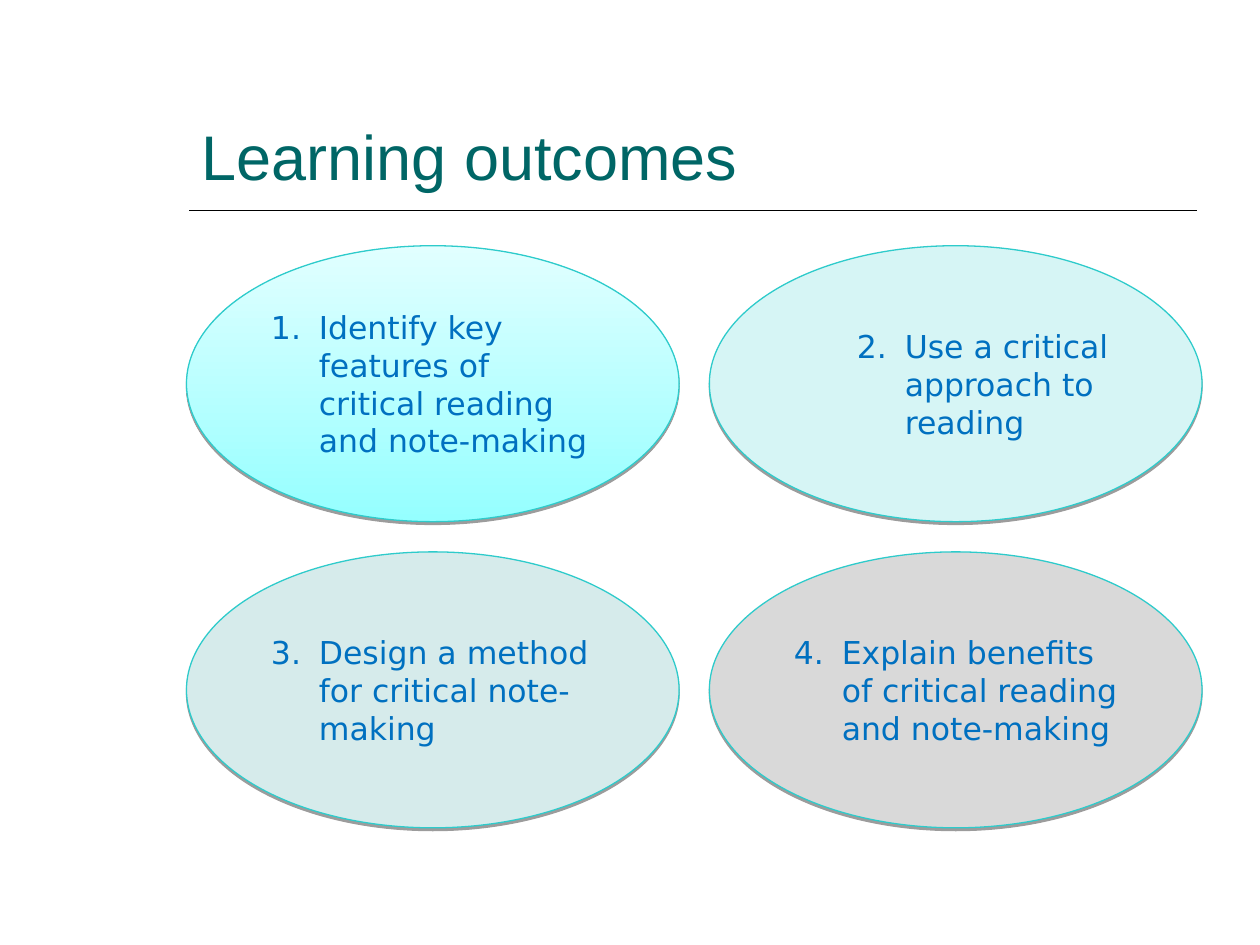
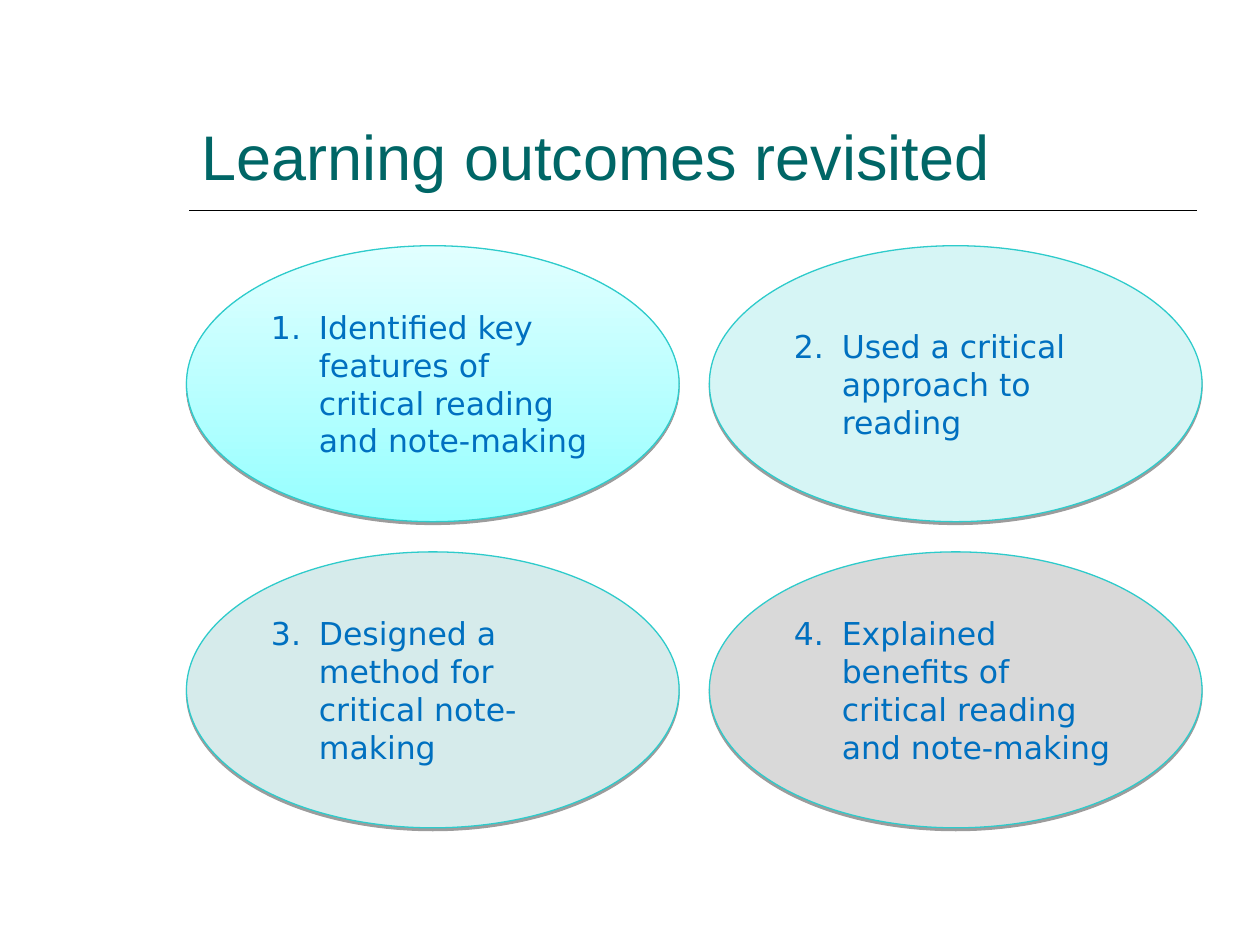
from lxml.etree import SubElement
from pptx import Presentation
from pptx.dml.color import RGBColor
from pptx.enum.shapes import MSO_CONNECTOR as Connector, MSO_SHAPE as Shape
from pptx.enum.text import MSO_ANCHOR as Anchor, MSO_AUTO_SIZE as AutoSize, PP_ALIGN as Align
from pptx.oxml.ns import qn
from pptx.util import Inches, Pt

# Shared layout: a two by two grid of ovals
OVAL_WIDTH, OVAL_HEIGHT = 3.91, 2.19
GRID_LEFT, GRID_TOP = 1.48, 1.95
COLUMN_STEP, ROW_STEP = 4.15, 2.43
NUMBER_INDENT = 0.38
OVAL_FILLS = [("95FFFF", "E1FFFF"), ("D6F5F5",), ("D6EBEB",), ("D9D9D9",)]

# Title, outcomes, and the numbers of the outcomes set one level deeper
SLIDES = [
    ("Learning outcomes", [
        "Identify key features of critical reading and note-making",
        "Use a critical approach to reading",
        "Design a method for critical note-making",
        "Explain benefits of critical reading and note-making",
    ], {2}),
    ("Learning outcomes revisited", [
        "Identified key features of critical reading and note-making",
        "Used a critical approach to reading",
        "Designed a method for critical note-making",
        "Explained benefits of critical reading and note-making",
    ], set()),
]


def color(value):
    return RGBColor.from_string(value)


class Deck:
    TITLE_FONT, BODY_FONT = "Arial", "DejaVu Sans"
    TITLE_COLOR, TEXT_COLOR = "006666", "0070C0"
    RULE_COLOR, OUTLINE_COLOR, SHADOW_COLOR = "000000", "2ECBCB", "000000"

    def __init__(self):
        self.presentation = Presentation()
        self.presentation.slide_width = Inches(10)
        self.presentation.slide_height = Inches(7.5)
        self.slide = None

    def add_slide(self, title):
        layout = self.presentation.slide_layouts[5]
        self.slide = self.presentation.slides.add_slide(layout)
        self.add_rule()
        self.set_title(title)

    def add_run(self, paragraph, text, font, size, text_color):
        run = paragraph.add_run()
        run.text = text
        run.font.name = font
        run.font.size = Pt(size)
        run.font.color.rgb = color(text_color)

    def set_title(self, text):
        shape = self.slide.shapes.title
        shape.left, shape.top = Inches(1.5), Inches(0.33)
        shape.width, shape.height = Inches(8), Inches(1.25)
        frame = shape.text_frame
        frame.auto_size = AutoSize.NONE
        frame.vertical_anchor = Anchor.BOTTOM
        paragraph = frame.paragraphs[0]
        paragraph.alignment = Align.LEFT
        self.add_run(paragraph, text, self.TITLE_FONT, 36, self.TITLE_COLOR)

    def add_rule(self):
        rule = self.slide.shapes.add_connector(
            Connector.STRAIGHT, Inches(1.5), Inches(1.67), Inches(9.5), Inches(1.67))
        rule.line.color.rgb = color(self.RULE_COLOR)
        rule.line.width = Pt(1)
        SubElement(rule._element.spPr, qn("a:effectLst"))

    def add_shadow(self, shape):
        shape.shadow.inherit = False
        effects = shape._element.spPr.find(qn("a:effectLst"))
        shadow = SubElement(effects, qn("a:outerShdw"), blurRad="0", dist=str(Pt(1.6)),
                            dir="5400000", rotWithShape="0")
        shade = SubElement(shadow, qn("a:srgbClr"), val=self.SHADOW_COLOR)
        SubElement(shade, qn("a:alpha"), val="38000")

    def set_number(self, paragraph, number, level):
        paragraph.level = level
        properties = paragraph._p.get_or_add_pPr()
        properties.set("marL", str(Inches(NUMBER_INDENT + 0.5 * level)))
        properties.set("indent", str(-Inches(NUMBER_INDENT)))
        bullet_color = SubElement(properties, qn("a:buClr"))
        SubElement(bullet_color, qn("a:srgbClr"), val=self.TEXT_COLOR)
        SubElement(properties, qn("a:buFont"), typeface=self.BODY_FONT)
        SubElement(properties, qn("a:buAutoNum"), type="arabicPeriod", startAt=str(number))

    def add_oval(self, left, top, fills, number, text, level):
        shape = self.slide.shapes.add_shape(
            Shape.OVAL, Inches(left), Inches(top), Inches(OVAL_WIDTH), Inches(OVAL_HEIGHT))
        if len(fills) > 1:
            shape.fill.gradient()
            shape.fill.gradient_angle = 90
            for stop, value in zip(shape.fill.gradient_stops, fills):
                stop.color.rgb = color(value)
        else:
            shape.fill.solid()
            shape.fill.fore_color.rgb = color(fills[0])
        shape.line.color.rgb = color(self.OUTLINE_COLOR)
        shape.line.width = Pt(0.75)
        self.add_shadow(shape)

        frame = shape.text_frame
        frame.word_wrap = True
        frame.vertical_anchor = Anchor.MIDDLE
        paragraph = frame.paragraphs[0]
        paragraph.alignment = Align.LEFT
        self.set_number(paragraph, number, level)
        self.add_run(paragraph, text, self.BODY_FONT, 18, self.TEXT_COLOR)


def main():
    deck = Deck()
    for title, outcomes, deeper in SLIDES:
        deck.add_slide(title)
        for index, (text, fills) in enumerate(zip(outcomes, OVAL_FILLS)):
            row, column = divmod(index, 2)
            number = index + 1
            deck.add_oval(GRID_LEFT + column * COLUMN_STEP, GRID_TOP + row * ROW_STEP,
                          fills, number, text, int(number in deeper))
    deck.presentation.save("out.pptx")


if __name__ == "__main__":
    main()
